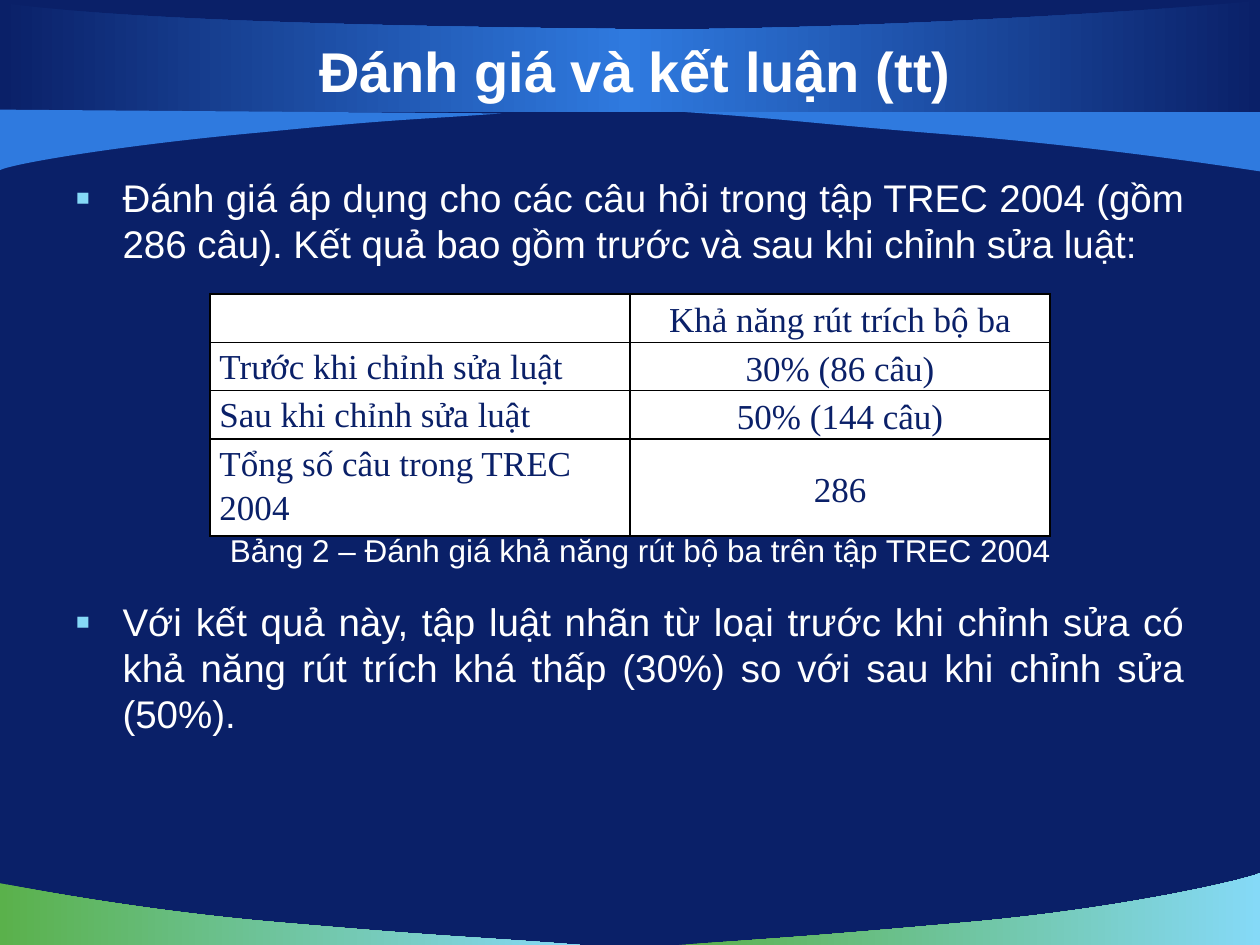
from copy import deepcopy

from lxml.etree import SubElement
from pptx import Presentation
from pptx.dml.color import RGBColor
from pptx.enum.text import MSO_ANCHOR, PP_ALIGN
from pptx.oxml.ns import qn
from pptx.util import Inches, Pt

NAVY = RGBColor(0x0A, 0x20, 0x68)
BLUE = RGBColor(0x2F, 0x7A, 0xDF)
GREEN = RGBColor(0x5A, 0xB1, 0x4B)
SKY = RGBColor(0x85, 0xD9, 0xF7)
WHITE = RGBColor(0xFF, 0xFF, 0xFF)
BLACK = RGBColor(0, 0, 0)

COLUMNS, ROWS = 100, 75

WAVES = [
    ([(46, 75), (38.4, 74.4), (35.8, 74.4), (23.2, 73.3),
      (10.6, 72.3), (0.1, 70.1), (0, 70.1)], [(0, 75)], [GREEN, SKY]),
    ([(53.9, 75), (61.4, 74.5), (64.6, 74.3), (76.9, 73.2),
      (89.2, 72.1), (99, 69.8), (100, 69.3)], [(100, 75)], [GREEN, SKY]),
    ([(54.4, 8.9), (62, 9.4), (64.2, 9.8), (76.8, 10.8),
      (89.4, 11.9), (99.9, 13.6), (100, 13.6)], [(100, 8.8)], [BLUE]),
    ([(100, 0), (96.4, 0.6), (65.3, 2.6), (48.7, 2.3),
      (32.1, 2.1), (10.1, 1.7), (0, 0.2)], [(0, 8.9), (100, 8.9)], [NAVY, BLUE, NAVY]),
    ([(39.8, 9), (33.1, 9.5), (31.8, 9.4), (20.8, 10.5),
      (9.7, 11.5), (0.9, 13), (0, 13.5)], [(0, 8.7)], [BLUE]),
]

FINDINGS = [
    ("Đánh giá áp dụng cho các câu hỏi trong tập TREC 2004 (gồm 286 câu). "
     "Kết quả bao gồm trước và sau khi chỉnh sửa luật:", 4.4),
    ("Với kết quả này, tập luật nhãn từ loại trước khi chỉnh sửa có khả năng "
     "rút trích khá thấp (30%) so với sau khi chỉnh sửa (50%).", 189.4),
]

RESULTS = [
    ("", "Khả năng rút trích bộ ba"),
    ("Trước khi chỉnh sửa luật", "30% (86 câu)"),
    ("Sau khi chỉnh sửa luật", "50% (144 câu)"),
    ("Tổng số câu trong TREC 2004", "286"),
]


def write(paragraph, text, size=22, font="Arial", color=WHITE, bold=False,
          align=PP_ALIGN.CENTER, before=0, line=1.0):
    paragraph.alignment = align
    paragraph.space_before = Pt(before)
    paragraph.line_spacing = line
    run = paragraph.add_run()
    run.text = text
    run.font.size, run.font.name, run.font.bold = Pt(size), font, bold
    run.font.color.rgb = color


def add_bullet(paragraph):
    properties = paragraph._p.get_or_add_pPr()
    properties.set("marL", str(Pt(27)))
    properties.set("indent", str(-Pt(27)))
    tint = SubElement(properties, qn("a:buClr"))
    SubElement(tint, qn("a:srgbClr"), val=str(SKY))
    SubElement(properties, qn("a:buSzPct"), val="115000")
    SubElement(properties, qn("a:buFont"), typeface="Arial")
    SubElement(properties, qn("a:buChar"), char="▪")


def add_borders(cell):
    properties = cell._tc.get_or_add_tcPr()
    for side in ("lnL", "lnR", "lnT", "lnB"):
        border = SubElement(properties, qn(f"a:{side}"), w=str(Pt(1)))
        fill = SubElement(border, qn("a:solidFill"))
        SubElement(fill, qn("a:srgbClr"), val=str(BLACK))


def bend(band, control_count):
    segments = list(band._element.iter(qn("a:lnTo")))[:control_count]
    for start in range(0, control_count, 3):
        first, *others = segments[start:start + 3]
        curve = first.makeelement(qn("a:cubicBezTo"))
        first.addprevious(curve)
        for segment in (first, *others):
            curve.append(segment[0])
            segment.getparent().remove(segment)


class Deck:
    """Places styled elements on the current slide by grid columns and rows."""

    def __init__(self):
        self.presentation = Presentation()
        self.presentation.slide_width = Inches(10)
        self.presentation.slide_height = Inches(7.5)
        self.slide = self.presentation.slides.add_slide(self.presentation.slide_layouts[6])
        self.slide.background.fill.solid()
        self.slide.background.fill.fore_color.rgb = NAVY

    def at(self, column, row):
        return (round(self.presentation.slide_width * column / COLUMNS),
                round(self.presentation.slide_height * row / ROWS))

    def wave(self, curve, corners, colors):
        points = [self.at(*point) for point in curve + corners]
        builder = self.slide.shapes.build_freeform(*points[0])
        builder.add_line_segments(points[1:], close=True)
        band = builder.convert_to_shape()
        bend(band, len(curve) - 1)
        band.shadow.inherit = False
        band.line.fill.background()
        if len(colors) == 1:
            band.fill.solid()
            band.fill.fore_color.rgb = colors[0]
            return
        band.fill.gradient()
        band.fill.gradient_angle = 0
        stops = band._element.spPr.find(f".//{qn('a:gsLst')}")
        for _ in colors[2:]:
            stops.append(deepcopy(stops[0]))
        for index, (stop, color) in enumerate(zip(band.fill.gradient_stops, colors)):
            stop.position = index / (len(colors) - 1)
            stop.color.rgb = color

    def text_box(self, column, row, width, height, anchor=MSO_ANCHOR.TOP):
        frame = self.slide.shapes.add_textbox(
            *self.at(column, row), *self.at(width, height)).text_frame
        frame.word_wrap = True
        frame.vertical_anchor = anchor
        return frame

    def heading(self, text):
        frame = self.text_box(5, 2.5, 90.83, 6.2, MSO_ANCHOR.MIDDLE)
        write(frame.paragraphs[0], text, size=32, bold=True)

    def bullets(self, findings):
        frame = self.text_box(5, 13.3, 90, 56.7)
        for index, (finding, before) in enumerate(findings):
            paragraph = frame.add_paragraph() if index else frame.paragraphs[0]
            write(paragraph, finding, align=PP_ALIGN.JUSTIFY, before=before)
            add_bullet(paragraph)

    def caption(self, text):
        write(self.text_box(14.17, 41.65, 73.3, 4).paragraphs[0], text, size=18)

    def table(self, results):
        grid = self.slide.shapes.add_table(
            len(results), 2, *self.at(16.67, 23.33), *self.at(66.67, 19.2)).table
        for grid_row, height, texts in zip(grid.rows, (3.84, 3.84, 3.84, 7.68), results):
            grid_row.height = self.at(0, height)[1]
            for index, (cell, text) in enumerate(zip(grid_row.cells, texts)):
                cell.margin_left = cell.margin_right = Pt(5.4)
                cell.margin_top = cell.margin_bottom = 0
                cell.vertical_anchor = MSO_ANCHOR.MIDDLE if index else MSO_ANCHOR.TOP
                add_borders(cell)
                cell.fill.solid()
                cell.fill.fore_color.rgb = WHITE
                if text:
                    write(cell.text_frame.paragraphs[0], text, size=20,
                          font="Times New Roman", color=NAVY, line=1.15,
                          align=PP_ALIGN.CENTER if index else PP_ALIGN.LEFT)


def main():
    deck = Deck()
    for curve, corners, colors in WAVES:
        deck.wave(curve, corners, colors)
    deck.heading("Đánh giá và kết luận (tt)")
    deck.bullets(FINDINGS)
    deck.caption("Bảng 2 – Đánh giá khả năng rút bộ ba trên tập TREC 2004")
    deck.table(RESULTS)
    deck.presentation.save("out.pptx")


if __name__ == "__main__":
    main()
